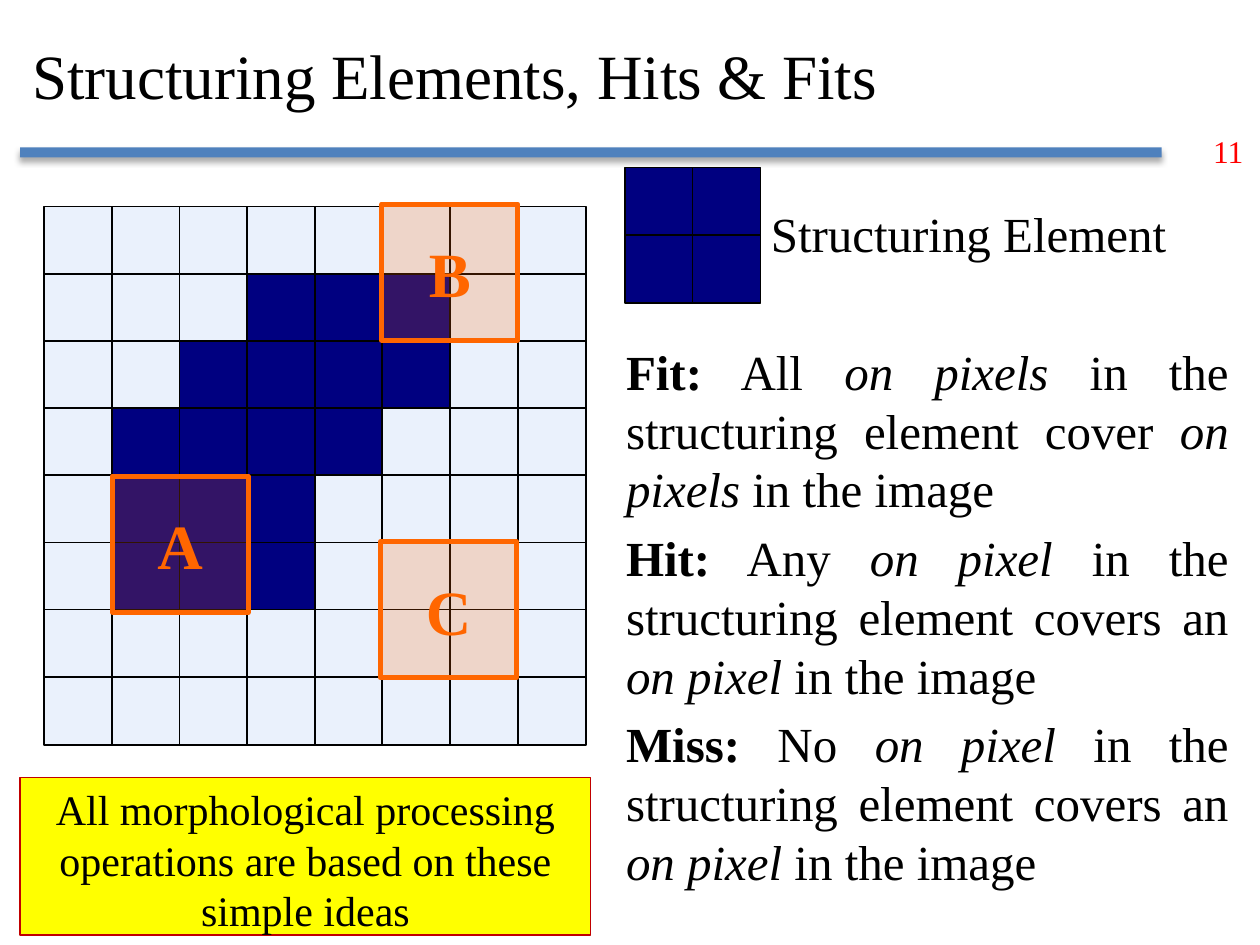
"""Builds a slide on structuring elements, hits and fits in morphology."""
import pptx
import pptx.dml.color
import pptx.enum.shapes
import pptx.enum.text
import pptx.oxml
import pptx.oxml.ns
import pptx.util

Inches = pptx.util.Inches
Pt = pptx.util.Pt
ALIGN = pptx.enum.text.PP_ALIGN
ANCHOR = pptx.enum.text.MSO_ANCHOR

COLORS = {
    "bar": "4F81BD", "off": "EAF1FC", "on": "000080", "black": "000000",
    "orange": "FF6600", "yellow": "FFFF00", "dark_red": "C00000", "red": "FF0000",
}
FONT = "Times New Roman"
CELL = 0.54
COLUMN_STEP, ROW_STEP = 0.537, 0.533
IMAGE = [
    "........",
    "...###..",
    "..####..",
    ".####...",
    ".###....",
    ".###....",
    "........",
    "........",
]
ELEMENT = ["##", "##"]
PROBES = [("B", 3.03, 1.62), ("A", 0.89, 3.78), ("C", 3.02, 4.3)]
DEFINITIONS = [
    [("Fit:", "b"), (" All ", ""), ("on pixels", "i"),
     (" in the structuring element cover ", ""), ("on pixels", "i"), (" in the image", "")],
    [("Hit:", "b"), (" Any ", ""), ("on pixel", "i"),
     (" in the structuring element covers an ", ""), ("on pixel", "i"), (" in the image", "")],
    [("Miss:", "b"), (" No ", ""), ("on pixel", "i"),
     (" in the structuring element covers an ", ""), ("on pixel", "i"), (" in the image", "")],
]


def rgb(name):
    return pptx.dml.color.RGBColor.from_string(COLORS[name])


def set_font(font, size, color="black", bold=False):
    font.name = FONT
    font.size = Pt(size)
    font.bold = bold
    font.color.rgb = rgb(color)


def add_rectangle(page, left, top, width, height, fill, line=None, line_width=1):
    shape = page.shapes.add_shape(
        pptx.enum.shapes.MSO_SHAPE.RECTANGLE,
        Inches(left), Inches(top), Inches(width), Inches(height))
    shape.shadow.inherit = False
    shape.fill.solid()
    shape.fill.fore_color.rgb = rgb(fill)
    if line:
        shape.line.color.rgb = rgb(line)
        shape.line.width = Pt(line_width)
    else:
        shape.line.fill.background()
    return shape


def add_title_bar(page):
    bar = add_rectangle(page, 0.16, 1.17, 9.06, 0.08, "bar")
    effects = bar._element.spPr.find(pptx.oxml.ns.qn("a:effectLst"))
    effects.append(pptx.oxml.parse_xml(
        f'<a:outerShdw {pptx.oxml.ns.nsdecls("a")} blurRad="{Pt(3.5)}" dist="{Pt(2.2)}" '
        'dir="5400000" rotWithShape="0"><a:srgbClr val="000000">'
        '<a:alpha val="32000"/></a:srgbClr></a:outerShdw>'))


def add_pixels(page, left, top, rows):
    for row, pixels in enumerate(rows):
        for column, pixel in enumerate(pixels):
            add_rectangle(page, left + column * COLUMN_STEP, top + row * ROW_STEP,
                          CELL, CELL, "on" if pixel == "#" else "off", "black")


def add_probe(page, letter, left, top):
    probe = add_rectangle(page, left, top, 2 * CELL, 2 * CELL, "orange", "orange", 3)
    color = probe.fill._xPr.find(".//" + pptx.oxml.ns.qn("a:srgbClr"))
    color.append(pptx.oxml.parse_xml(
        f'<a:alpha {pptx.oxml.ns.nsdecls("a")} val="20000"/>'))
    frame = probe.text_frame
    frame.word_wrap = False
    frame.vertical_anchor = ANCHOR.MIDDLE
    para = frame.paragraphs[0]
    para.text = letter
    para.alignment = ALIGN.CENTER
    set_font(para.font, 36, "orange", True)


def add_text(page, left, top, width, height, text, size, color="black", anchor=ANCHOR.TOP):
    box = page.shapes.add_textbox(Inches(left), Inches(top), Inches(width), Inches(height))
    frame = box.text_frame
    frame.word_wrap = False
    frame.vertical_anchor = anchor
    para = frame.paragraphs[0]
    para.text = text
    set_font(para.font, size, color)


def add_definitions(page):
    box = page.shapes.add_textbox(Inches(4.87), Inches(2.66), Inches(4.98), Inches(4.77))
    frame = box.text_frame
    frame.word_wrap = True
    for index, spans in enumerate(DEFINITIONS):
        para = frame.add_paragraph() if index else frame.paragraphs[0]
        para.alignment = ALIGN.JUSTIFY
        if index:
            para.space_before = Pt(5.6)
        set_font(para.font, 28)
        for text, style in spans:
            span = para.add_run()
            span.text = text
            set_font(span.font, 28, bold=style == "b")
            span.font.italic = style == "i"


def add_summary(page):
    box = add_rectangle(page, 0.16, 6.17, 4.53, 1.25, "yellow", "dark_red", 0.75)
    frame = box.text_frame
    frame.word_wrap = True
    frame.vertical_anchor = ANCHOR.TOP
    para = frame.paragraphs[0]
    para.text = "All morphological processing operations are based on these simple ideas"
    para.alignment = ALIGN.CENTER
    set_font(para.font, 24)


def main():
    deck = pptx.Presentation()
    deck.slide_width, deck.slide_height = Inches(10), Inches(7.5)
    page = deck.slides.add_slide(deck.slide_layouts[6])
    add_title_bar(page)
    add_text(page, 9.53, 1, 0.5, 0.4, "11", 18, "red")
    add_text(page, 0.16, 0.08, 8.2, 1.02, "Structuring Elements, Hits & Fits", 36,
             anchor=ANCHOR.MIDDLE)
    add_pixels(page, 0.35, 1.64, IMAGE)
    for letter, left, top in PROBES:
        add_probe(page, letter, left, top)
    add_pixels(page, 4.96, 1.33, ELEMENT)
    add_text(page, 6.02, 1.57, 3.37, 0.57, "Structuring Element", 28)
    add_definitions(page)
    add_summary(page)
    deck.save("out.pptx")


if __name__ == "__main__":
    main()
